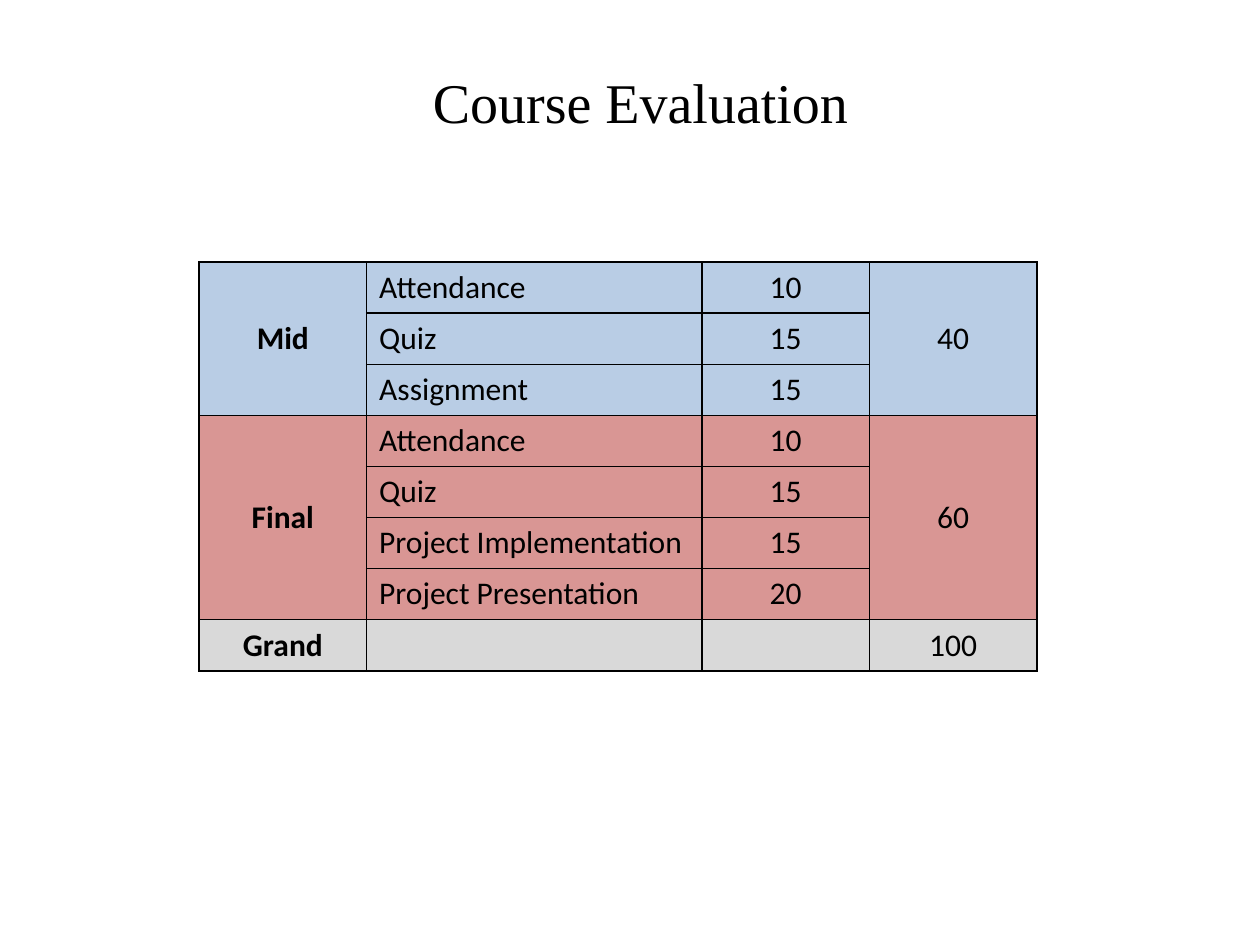
from lxml.etree import SubElement
from pptx import Presentation
from pptx.dml.color import RGBColor
from pptx.enum.text import MSO_ANCHOR, PP_ALIGN
from pptx.oxml.ns import qn
from pptx.util import Inches, Pt

BLACK = RGBColor(0x00, 0x00, 0x00)
BLUE = RGBColor(0xB9, 0xCD, 0xE5)
RED = RGBColor(0xD9, 0x96, 0x94)
GREY = RGBColor(0xD9, 0xD9, 0xD9)

COLUMN_WIDTHS = [1.33, 2.66, 1.33, 1.33]
ROW_HEIGHT = 0.405

# Term, colour, graded items with their marks, total
TERMS = [
    ("Mid", BLUE, [("Attendance", "10"), ("Quiz", "15"), ("Assignment", "15")], "40"),
    ("Final", RED, [("Attendance", "10"), ("Quiz", "15"),
                    ("Project Implementation", "15"),
                    ("Project Presentation", "20")], "60"),
    ("Grand", GREY, [("", "")], "100"),
]


def write_text(frame, text, font_name, size, align, bold=False):
    frame.vertical_anchor = MSO_ANCHOR.MIDDLE
    paragraph = frame.paragraphs[0]
    paragraph.alignment = align
    span = paragraph.add_run()
    span.text = text
    span.font.name = font_name
    span.font.size = Pt(size)
    span.font.bold = bold
    span.font.color.rgb = BLACK


def add_title(page, text):
    title = page.shapes.title
    title.left, title.top = Inches(1.75), Inches(0.42)
    title.width, title.height = Inches(6.67), Inches(0.77)
    write_text(title.text_frame, text, "Times New Roman", 32, PP_ALIGN.CENTER)


def format_cell(cell, color):
    """Give the cell a thin black border on all sides and a solid fill."""
    properties = cell._tc.get_or_add_tcPr()
    for side in ("a:lnL", "a:lnR", "a:lnT", "a:lnB"):
        line = SubElement(properties, qn(side), w=str(Pt(1)))
        fill = SubElement(line, qn("a:solidFill"))
        SubElement(fill, qn("a:srgbClr"), val=str(BLACK))
    cell.fill.solid()
    cell.fill.fore_color.rgb = color


def write_cell(cell, text, align=PP_ALIGN.CENTER, bold=False):
    cell.vertical_anchor = MSO_ANCHOR.MIDDLE
    if text:
        write_text(cell.text_frame, text, "Calibri", 18, align, bold)


def fill_term(table, first_row, term, color, items, total):
    """Write one term's rows, with its name and total merged down the sides."""
    last_row = first_row + len(items) - 1
    for row, (item, marks) in enumerate(items, first_row):
        for column in range(len(COLUMN_WIDTHS)):
            format_cell(table.cell(row, column), color)
        write_cell(table.cell(row, 1), item, PP_ALIGN.LEFT)
        write_cell(table.cell(row, 2), marks)
    for column, text in ((0, term), (3, total)):
        cell = table.cell(first_row, column)
        if last_row > first_row:
            cell.merge(table.cell(last_row, column))
        write_cell(cell, text, bold=column == 0)


def add_evaluation_table(page):
    row_count = sum(len(items) for _, _, items, _ in TERMS)
    table = page.shapes.add_table(
        row_count, len(COLUMN_WIDTHS), Inches(1.58), Inches(2.08),
        Inches(sum(COLUMN_WIDTHS)), Inches(ROW_HEIGHT * row_count)).table
    table.first_row = table.horz_banding = False
    for column, width in zip(table.columns, COLUMN_WIDTHS):
        column.width = Inches(width)
    for row in table.rows:
        row.height = Inches(ROW_HEIGHT)
    first_row = 0
    for term, color, items, total in TERMS:
        fill_term(table, first_row, term, color, items, total)
        first_row += len(items)


def main():
    deck = Presentation()
    deck.slide_width, deck.slide_height = Inches(10), Inches(7.5)
    page = deck.slides.add_slide(deck.slide_layouts.get_by_name("Title Only"))
    add_title(page, "Course Evaluation")
    add_evaluation_table(page)
    deck.save("out.pptx")


if __name__ == "__main__":
    main()
